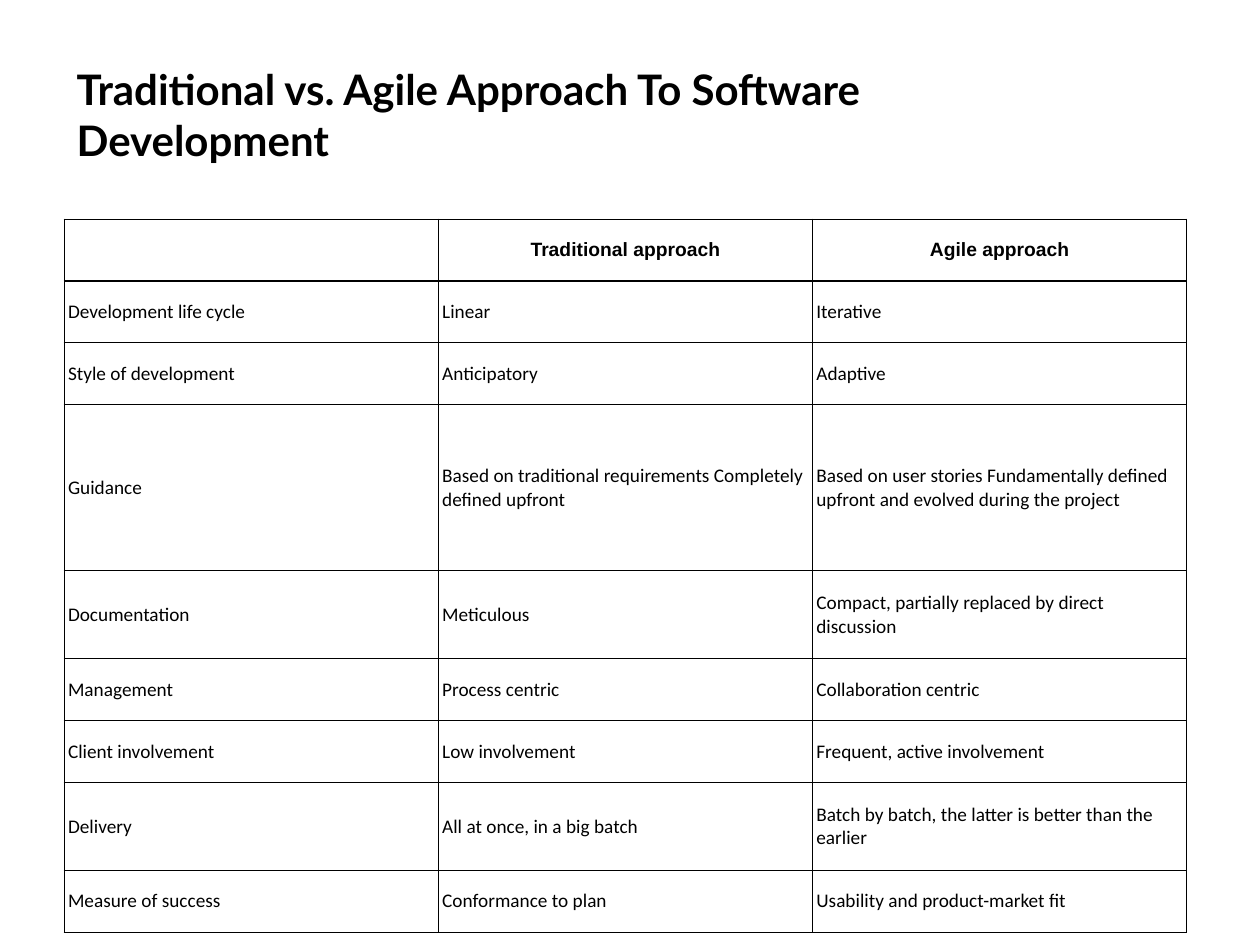
from dataclasses import dataclass
from typing import Any

from lxml.etree import SubElement
from pptx import Presentation
from pptx.dml.color import RGBColor
from pptx.enum.text import MSO_ANCHOR as Anchor, MSO_AUTO_SIZE as AutoSize, PP_ALIGN as Align
from pptx.oxml.ns import qn
from pptx.util import Inches, Pt


@dataclass(frozen=True)
class Theme:
    ink: str = "000000"
    title_font: str = "Lato"
    header_font: str = "Arial"
    body_font: str = "Calibri"
    title_size: float = 24
    table_size: float = 11
    border_width: float = 0.75


@dataclass(frozen=True)
class Comparison:
    aspect: str
    traditional: str
    agile: str
    height: float = 0.49

    def entries(self) -> tuple[str, str, str]:
        return self.aspect, self.traditional, self.agile


THEME = Theme()
LEFT = 0.51
COLUMN_WIDTH = 2.97
CELL_FORMAT = {
    "vertical_anchor": Anchor.MIDDLE,
    "margin_left": Inches(0.03),
    "margin_right": Inches(0.03),
    "margin_top": Inches(0.03),
    "margin_bottom": Inches(0.03),
}
TITLE_FORMAT = {
    "word_wrap": True,
    "auto_size": AutoSize.SHAPE_TO_FIT_TEXT,
    "vertical_anchor": Anchor.MIDDLE,
}
TITLE = "Traditional vs. Agile Approach To Software Development"
COMPARISONS = [
    Comparison("", "Traditional approach", "Agile approach"),
    Comparison("Development life cycle", "Linear", "Iterative"),
    Comparison("Style of development", "Anticipatory", "Adaptive"),
    Comparison(
        "Guidance",
        "Based on traditional requirements Completely defined upfront",
        "Based on user stories Fundamentally defined upfront and evolved during the project",
        1.32,
    ),
    Comparison("Documentation", "Meticulous",
               "Compact, partially replaced by direct discussion", 0.7),
    Comparison("Management", "Process centric", "Collaboration centric"),
    Comparison("Client involvement", "Low involvement", "Frequent, active involvement"),
    Comparison("Delivery", "All at once, in a big batch",
               "Batch by batch, the latter is better than the earlier", 0.7),
    Comparison("Measure of success", "Conformance to plan", "Usability and product-market fit"),
]


def apply_format(target: Any, values: dict[str, Any]) -> None:
    for name, value in values.items():
        setattr(target, name, value)


def write(paragraph: Any, words: str, font: str, size: float, bold: bool) -> None:
    run = paragraph.add_run()
    run.text = words
    apply_format(run.font, {"name": font, "size": Pt(size), "bold": bold})
    run.font.color.rgb = RGBColor.from_string(THEME.ink)


def add_borders(cell: Any) -> None:
    properties = cell._tc.get_or_add_tcPr()
    for side in ("a:lnL", "a:lnR", "a:lnT", "a:lnB"):
        border = SubElement(properties, qn(side), w=str(Pt(THEME.border_width)))
        fill = SubElement(border, qn("a:solidFill"))
        SubElement(fill, qn("a:srgbClr"), val=THEME.ink)


def fill_cell(cell: Any, words: str, header: bool) -> None:
    apply_format(cell, CELL_FORMAT)
    add_borders(cell)
    cell.fill.background()
    if not words:
        return
    paragraph = cell.text_frame.paragraphs[0]
    paragraph.alignment = Align.CENTER if header else Align.LEFT
    font = THEME.header_font if header else THEME.body_font
    write(paragraph, words, font, THEME.table_size, header)


def add_comparison_table(slide: Any) -> None:
    total_height = sum(comparison.height for comparison in COMPARISONS)
    table = slide.shapes.add_table(
        len(COMPARISONS), 3, Inches(LEFT), Inches(1.74),
        Inches(3 * COLUMN_WIDTH), Inches(total_height),
    ).table
    apply_format(table, {"first_row": False, "horz_banding": False})
    for column in table.columns:
        column.width = Inches(COLUMN_WIDTH)
    for index, (row, comparison) in enumerate(zip(table.rows, COMPARISONS)):
        row.height = Inches(comparison.height)
        for cell, words in zip(row.cells, comparison.entries()):
            fill_cell(cell, words, header=index == 0)


def add_title(slide: Any) -> None:
    title = slide.shapes.add_textbox(Inches(LEFT), Inches(0.45), Inches(7.86), Inches(0.91))
    apply_format(title.text_frame, TITLE_FORMAT)
    write(title.text_frame.paragraphs[0], TITLE, THEME.title_font, THEME.title_size, True)


def main() -> None:
    presentation = Presentation()
    apply_format(presentation, {"slide_width": Inches(10), "slide_height": Inches(7.5)})
    slide = presentation.slides.add_slide(presentation.slide_layouts[6])
    add_comparison_table(slide)
    add_title(slide)
    presentation.save("out.pptx")


if __name__ == "__main__":
    main()
